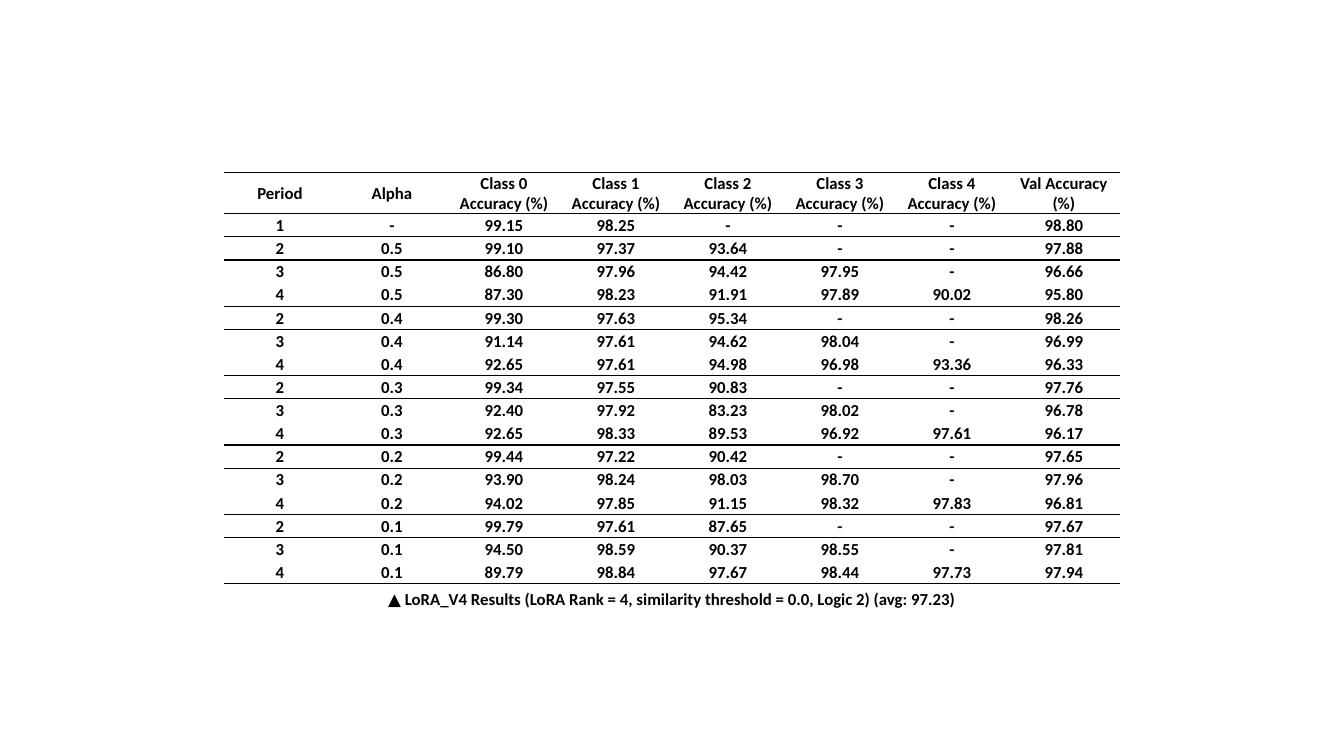
import pptx
import pptx.dml.color
import pptx.enum.text
import pptx.oxml
import pptx.oxml.ns
import pptx.util
from lxml import etree

HEADER = ["Period", "Alpha"] + [f"Class {n} Accuracy (%)" for n in range(5)] + ["Val Accuracy\n(%)"]
RESULTS = """
1 - 99.15 98.25 - - - 98.80
2 0.5 99.10 97.37 93.64 - - 97.88
3 0.5 86.80 97.96 94.42 97.95 - 96.66
4 0.5 87.30 98.23 91.91 97.89 90.02 95.80
2 0.4 99.30 97.63 95.34 - - 98.26
3 0.4 91.14 97.61 94.62 98.04 - 96.99
4 0.4 92.65 97.61 94.98 96.98 93.36 96.33
2 0.3 99.34 97.55 90.83 - - 97.76
3 0.3 92.40 97.92 83.23 98.02 - 96.78
4 0.3 92.65 98.33 89.53 96.92 97.61 96.17
2 0.2 99.44 97.22 90.42 - - 97.65
3 0.2 93.90 98.24 98.03 98.70 - 97.96
4 0.2 94.02 97.85 91.15 98.32 97.83 96.81
2 0.1 99.79 97.61 87.65 - - 97.67
3 0.1 94.50 98.59 90.37 98.55 - 97.81
4 0.1 89.79 98.84 97.67 98.44 97.73 97.94
"""


def color(value):
    return pptx.dml.color.RGBColor.from_string(value)


class Deck:
    font = "Calibri"
    size = 12
    ink = "000000"
    columns = 12

    def __init__(self):
        self.prs = pptx.Presentation()
        self.prs.slide_width = pptx.util.Inches(13.33)
        self.prs.slide_height = pptx.util.Inches(7.5)
        self.s = self.prs.slides.add_slide(self.prs.slide_layouts[6])

    def x(self, columns):
        return round(self.prs.slide_width * columns / self.columns)

    def y(self, share):
        return round(self.prs.slide_height * share)

    def run(self, p, text, font=None):
        p.alignment = pptx.enum.text.PP_ALIGN.CENTER
        r = p.add_run()
        r.text = text
        r.font.name = font or self.font
        r.font.size = pptx.util.Pt(self.size)
        r.font.bold = True
        r.font.color.rgb = color(self.ink)

    def caption(self, left, top, width, height, runs):
        sp = self.s.shapes.add_textbox(self.x(left), self.y(top), self.x(width), self.y(height))
        tf = sp.text_frame
        tf.word_wrap = True
        tf.auto_size = pptx.enum.text.MSO_AUTO_SIZE.SHAPE_TO_FIT_TEXT
        for text, font in runs:
            self.run(tf.paragraphs[0], text, font)

    def border(self, cell, side, ruled):
        ln = etree.SubElement(cell._tc.get_or_add_tcPr(), pptx.oxml.ns.qn(f"a:ln{side}"))
        if ruled:
            ln.set("w", str(pptx.util.Pt(1)))
            fill = etree.SubElement(ln, pptx.oxml.ns.qn("a:solidFill"))
            etree.SubElement(fill, pptx.oxml.ns.qn("a:srgbClr")).set("val", self.ink)
        else:
            etree.SubElement(ln, pptx.oxml.ns.qn("a:noFill"))

    def cell(self, cell, text, above, below):
        for side, ruled in zip("LRTB", (False, False, above, below)):
            self.border(cell, side, ruled)
        cell.fill.background()
        cell.vertical_anchor = pptx.enum.text.MSO_ANCHOR.MIDDLE
        cell.margin_left = cell.margin_right = cell.margin_top = pptx.util.Inches(0.01)
        cell.margin_bottom = 0
        tf = cell.text_frame
        for i, line in enumerate(text.split("\n")):
            self.run(tf.add_paragraph() if i else tf.paragraphs[0], line)

    def table(self, left, top, width, height, header_height, rows, rules):
        n_rows, n_cols = len(rows), len(rows[0])
        table = self.s.shapes.add_table(
            n_rows, n_cols, self.x(left), self.y(top), self.x(width), self.y(height)).table
        table.first_row = table.horz_banding = False
        for column in table.columns:
            column.width = self.x(width / n_cols)
        for i, row in enumerate(rows):
            table.rows[i].height = self.y((height - header_height) / (n_rows - 1) if i else header_height)
            for j, text in enumerate(row):
                self.cell(table.cell(i, j), text, rules[i], rules[i + 1])


def main():
    deck = Deck()
    deck.caption(3, 0.772, 6, 0.04, [
        ("▲", "Lato"),
        (" LoRA_V4 Results (LoRA Rank = 4, similarity threshold = 0.0, Logic 2) (avg: 97.23)", None),
    ])
    rows = [HEADER] + [line.split() for line in RESULTS.strip().splitlines()]
    rules = [row[0] != "4" for row in rows] + [True]
    deck.table(2, 0.228, 8, 0.544, 0.054, rows, rules)
    deck.prs.save("out.pptx")


if __name__ == "__main__":
    main()
